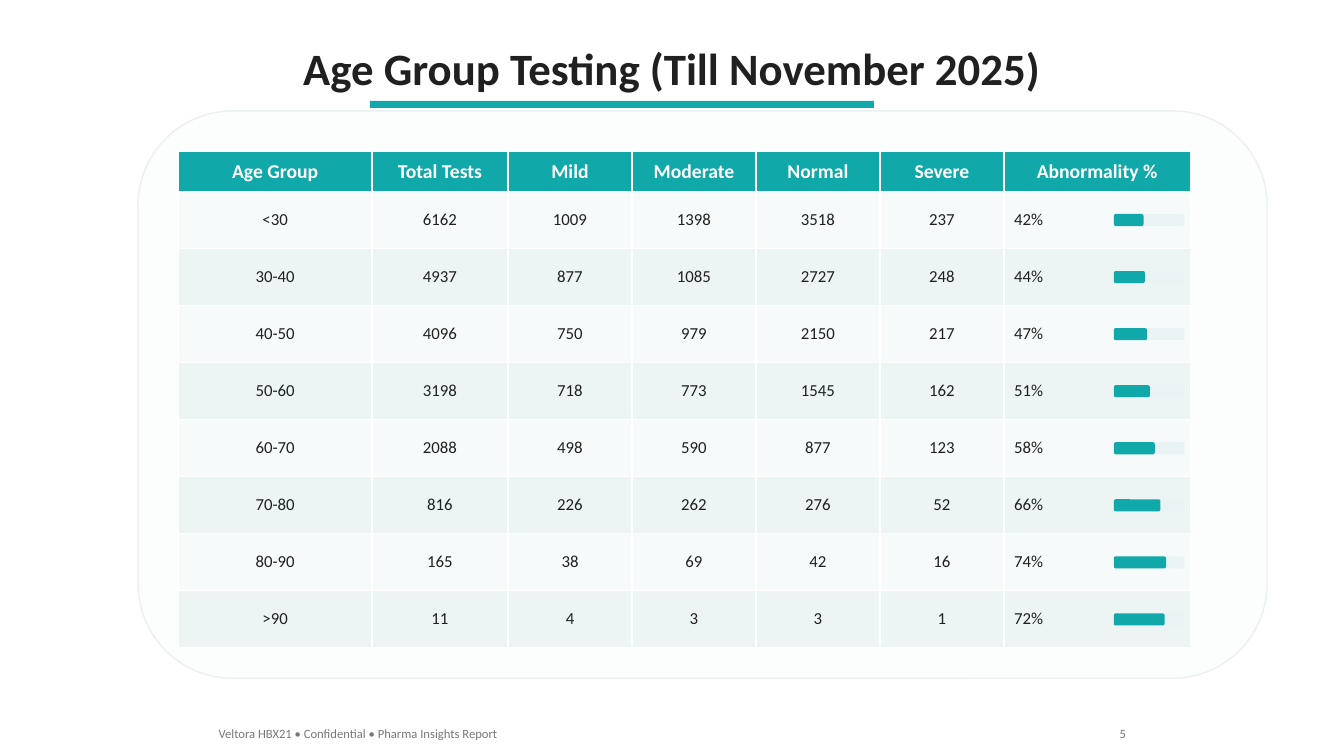
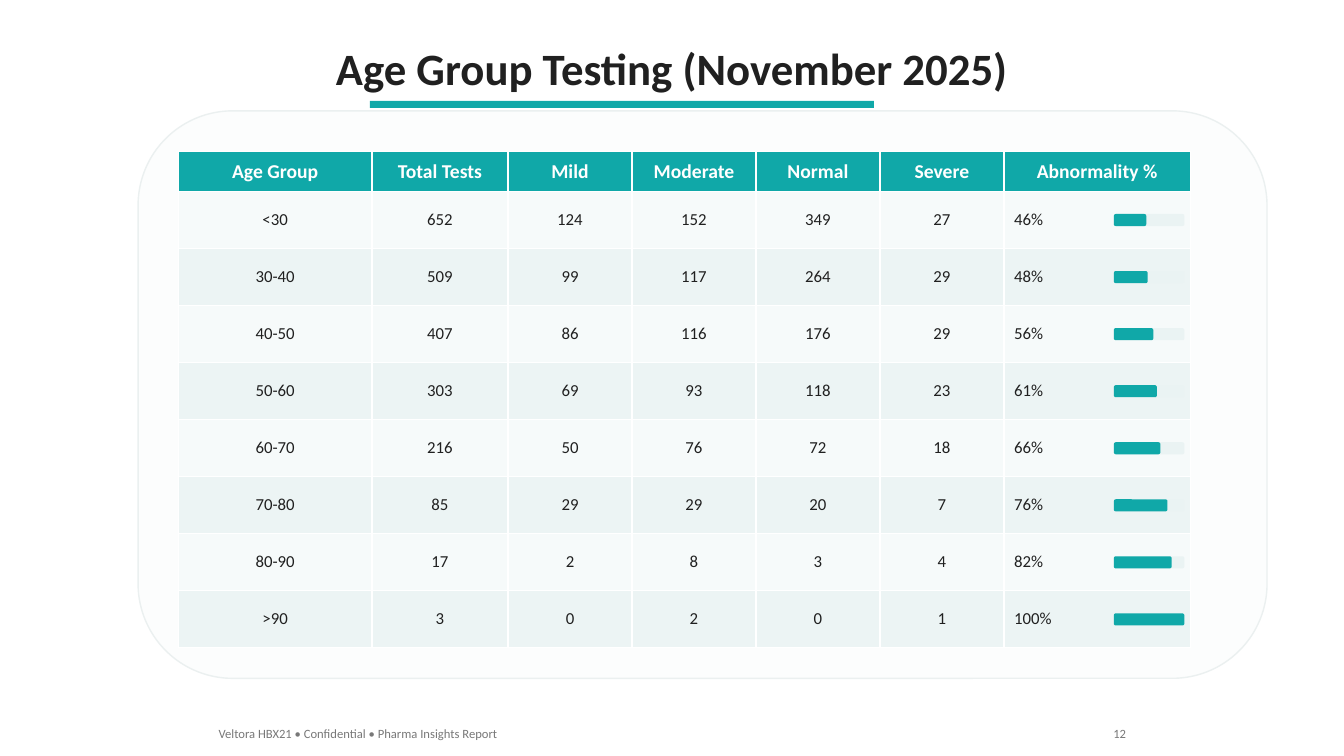
import dataclasses

import pptx
import pptx.dml.color
import pptx.enum.shapes
import pptx.enum.text
import pptx.util

ALIGN = pptx.enum.text.PP_ALIGN
SHAPE = pptx.enum.shapes.MSO_SHAPE

# The slide is a grid of square cells, a tenth of an inch each.
SLIDE_COLS, SLIDE_ROWS = 133.33, 75


@dataclasses.dataclass(frozen=True)
class Theme:
    font: str = "Calibri"
    title_size: int = 32
    header_size: int = 14
    body_size: int = 12
    footer_size: int = 9
    ink: str = "202020"
    muted: str = "787878"
    white: str = "FFFFFF"
    accent: str = "10A8A8"
    panel: str = "FCFDFD"
    panel_edge: str = "EBF0F0"
    bar_track: str = "EAF3F3"
    bands: tuple = ("F6FAFA", "ECF4F4")


THEME = Theme()

FOOTER = "Veltora HBX21 • Confidential • Pharma Insights Report"
HEADINGS = ("Age Group", "Total Tests", "Mild", "Moderate", "Normal", "Severe", "Abnormality %")
AGE_GROUPS = ("<30", "30-40", "40-50", "50-60", "60-70", "70-80", "80-90", ">90")

# Each row: total, mild, moderate, normal, severe, abnormality in percent.
TILL_NOVEMBER = (
    (6162, 1009, 1398, 3518, 237, 42),
    (4937, 877, 1085, 2727, 248, 44),
    (4096, 750, 979, 2150, 217, 47),
    (3198, 718, 773, 1545, 162, 51),
    (2088, 498, 590, 877, 123, 58),
    (816, 226, 262, 276, 52, 66),
    (165, 38, 69, 42, 16, 74),
    (11, 4, 3, 3, 1, 72),
)
NOVEMBER = (
    (652, 124, 152, 349, 27, 46),
    (509, 99, 117, 264, 29, 48),
    (407, 86, 116, 176, 29, 56),
    (303, 69, 93, 118, 23, 61),
    (216, 50, 76, 72, 18, 66),
    (85, 29, 29, 20, 7, 76),
    (17, 2, 8, 3, 4, 82),
    (3, 0, 2, 0, 1, 100),
)

TABLE_LEFT, TABLE_TOP = 17.7, 15
COLUMN_WIDTHS = (19.2, 13.5, 12.3, 12.3, 12.3, 12.3, 18.5)
HEADER_HEIGHT = 4
ROW_HEIGHT = 5.66
BAR_LEFT, BAR_WIDTH, BAR_HEIGHT = 110.5, 7, 1.2


def cells(count):
    """Length of a number of grid cells."""
    return pptx.util.Inches(count / 10)


def rgb(value):
    return pptx.dml.color.RGBColor.from_string(value)


def write(frame, text, size, color=THEME.ink, bold=False, align=ALIGN.LEFT):
    paragraph = frame.paragraphs[0]
    paragraph.alignment = align
    run = paragraph.add_run()
    run.text = text
    run.font.name = THEME.font
    run.font.size = pptx.util.Pt(size)
    run.font.bold = bold
    run.font.color.rgb = rgb(color)


def add_label(slide, box, text, size, **text_format):
    frame = slide.shapes.add_textbox(*map(cells, box)).text_frame
    frame.word_wrap = False
    write(frame, text, size, **text_format)


def add_block(slide, kind, box, fill, edge=None):
    block = slide.shapes.add_shape(kind, *map(cells, box))
    block.shadow.inherit = False
    block.fill.solid()
    block.fill.fore_color.rgb = rgb(fill)
    if edge:
        block.line.color.rgb = rgb(edge)
        block.line.width = pptx.util.Pt(1)
    else:
        block.line.fill.background()


def fill_cell(cell, text, fill, size, **text_format):
    cell.fill.solid()
    cell.fill.fore_color.rgb = rgb(fill)
    cell.vertical_anchor = pptx.enum.text.MSO_ANCHOR.MIDDLE
    write(cell.text_frame, text, size, **text_format)


def add_results_table(slide, results):
    height = HEADER_HEIGHT + ROW_HEIGHT * len(results)
    box = (TABLE_LEFT, TABLE_TOP, sum(COLUMN_WIDTHS), height)
    table = slide.shapes.add_table(len(results) + 1, len(HEADINGS), *map(cells, box)).table
    for column, width in zip(table.columns, COLUMN_WIDTHS):
        column.width = cells(width)
    for index, row in enumerate(table.rows):
        row.height = cells(ROW_HEIGHT if index else HEADER_HEIGHT)

    for index, heading in enumerate(HEADINGS):
        fill_cell(table.cell(0, index), heading, THEME.accent, THEME.header_size,
                  color=THEME.white, bold=True, align=ALIGN.CENTER)
    for index, (age_group, (*counts, abnormal)) in enumerate(zip(AGE_GROUPS, results)):
        band = THEME.bands[index % 2]
        for position, value in enumerate((age_group, *counts, f"{abnormal}%")):
            is_last = position == len(HEADINGS) - 1
            fill_cell(table.cell(index + 1, position), str(value), band, THEME.body_size,
                      align=ALIGN.LEFT if is_last else ALIGN.CENTER)


def add_abnormality_bars(slide, results):
    first_top = TABLE_TOP + HEADER_HEIGHT + (ROW_HEIGHT - BAR_HEIGHT) / 2
    for index, (*_, abnormal) in enumerate(results):
        top = first_top + index * ROW_HEIGHT
        bars = [(100, THEME.bar_track)] if abnormal < 100 else []
        for percent, color in (*bars, (abnormal, THEME.accent)):
            box = (BAR_LEFT, top, BAR_WIDTH * percent / 100, BAR_HEIGHT)
            add_block(slide, SHAPE.ROUNDED_RECTANGLE, box, color)


def add_age_slide(deck, title, results, page):
    slide = deck.slides.add_slide(deck.slide_layouts[6])
    add_label(slide, (28.7, 3.5, SLIDE_COLS - 2 * 28.7, 6.4), title, THEME.title_size,
              bold=True, align=ALIGN.CENTER)
    add_block(slide, SHAPE.RECTANGLE, (36.7, 10, 50, 0.7), THEME.accent)
    add_block(slide, SHAPE.ROUNDED_RECTANGLE, (13.7, 11, 112, 56.3), THEME.panel,
              edge=THEME.panel_edge)
    add_results_table(slide, results)
    add_abnormality_bars(slide, results)
    add_label(slide, (20.7, 71.5, 30.5, 2.5), FOOTER, THEME.footer_size, color=THEME.muted)
    add_label(slide, (109.4, 71.5, 3.3, 2.5), str(page), THEME.footer_size,
              color=THEME.muted, align=ALIGN.RIGHT)


def main():
    deck = pptx.Presentation()
    deck.slide_width, deck.slide_height = cells(SLIDE_COLS), cells(SLIDE_ROWS)
    add_age_slide(deck, "Age Group Testing (Till November 2025)", TILL_NOVEMBER, 5)
    add_age_slide(deck, "Age Group Testing (November 2025)", NOVEMBER, 12)
    deck.save("out.pptx")


if __name__ == "__main__":
    main()
